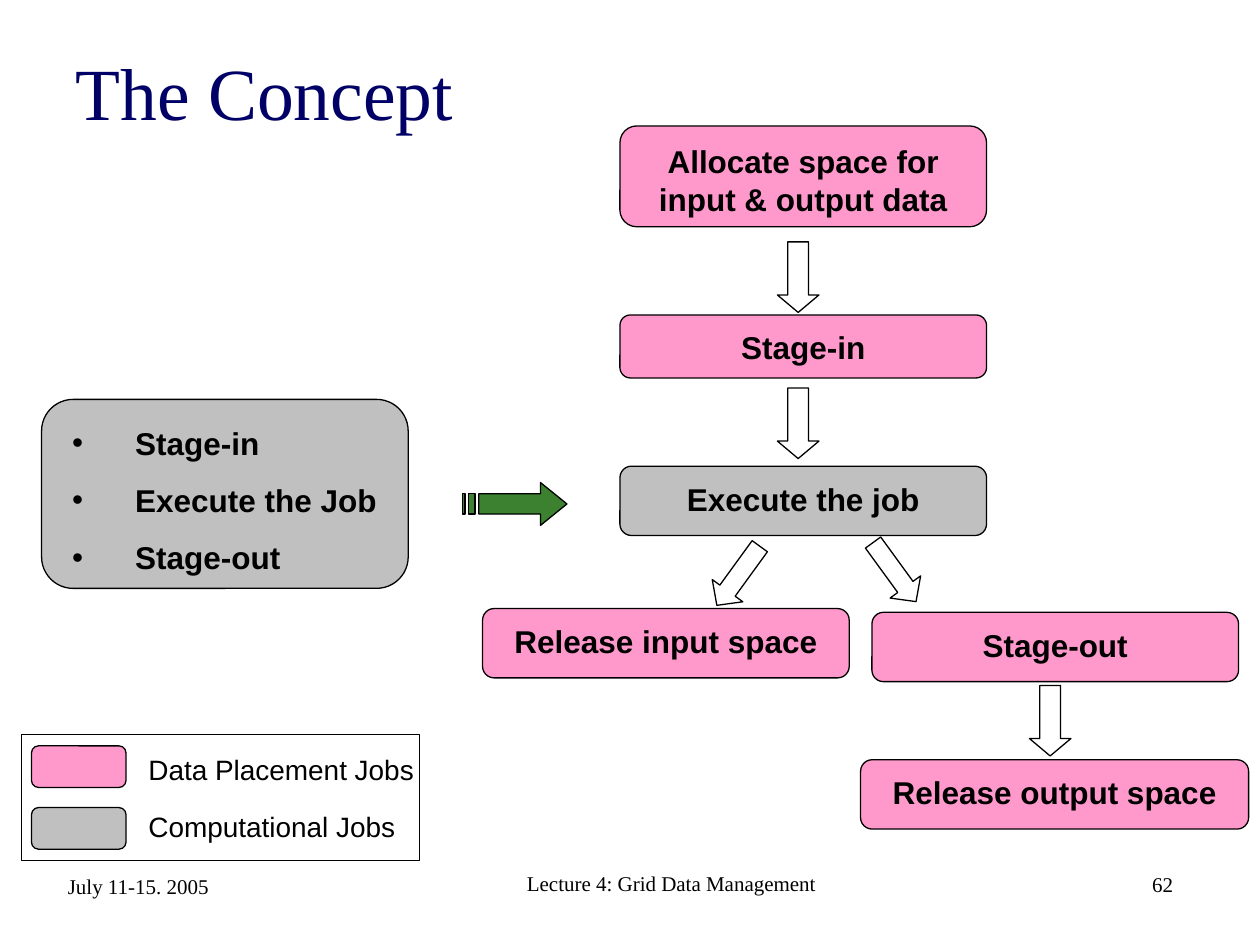
"""Build the slide that turns a three-step job into a data placement workflow."""
from dataclasses import dataclass

from lxml import etree
from pptx import Presentation, util as u
from pptx.dml.color import RGBColor
from pptx.enum import shapes, text
from pptx.oxml.ns import qn


@dataclass(frozen=True)
class Theme:
    """Colours, fonts and type sizes of the slide."""
    navy: str = "000066"
    black: str = "000000"
    white: str = "FFFFFF"
    placement: str = "FF99CC"
    compute: str = "C0C0C0"
    green: str = "3B812F"
    serif: str = "Times New Roman"
    sans: str = "Arial"
    title_size: float = 42
    job_size: float = 18
    legend_size: float = 16
    footer_size: float = 12
    outline: float = 0.75


def set_bullet(paragraph, indent, font):
    """Give a paragraph a round bullet with a hanging indent."""
    properties = paragraph._p.get_or_add_pPr()
    properties.set("marL", str(u.Inches(indent)))
    properties.set("indent", str(-u.Inches(indent)))
    etree.SubElement(properties, qn("a:buFont")).set("typeface", font)
    etree.SubElement(properties, qn("a:buChar")).set("char", "•")


def write(frame, content, *, size, font, color, bold=False, align="LEFT", anchor="TOP",
          margins=(0.1, 0.05, 0.1, 0.05), space=0, bullet_indent=None):
    """Fill a text frame, one paragraph to each line of content."""
    frame.word_wrap = True
    frame.auto_size = text.MSO_AUTO_SIZE.NONE
    frame.vertical_anchor = text.MSO_ANCHOR[anchor]
    (frame.margin_left, frame.margin_top,
     frame.margin_right, frame.margin_bottom) = map(u.Inches, margins)
    for index, line in enumerate(content.split("\n")):
        paragraph = frame.paragraphs[0] if index == 0 else frame.add_paragraph()
        if bullet_indent:
            set_bullet(paragraph, bullet_indent, font)
        if index:
            paragraph.space_before = u.Pt(space)
        paragraph.alignment = text.PP_ALIGN[align]
        paragraph.font.size = u.Pt(size)
        run = paragraph.add_run()
        run.text = line
        run.font.size = u.Pt(size)
        run.font.name = font
        run.font.bold = bold
        run.font.color.rgb = RGBColor.from_string(color)


class Deck:
    """Hold the theme and the current slide, and draw its elements."""

    def __init__(self, theme):
        self.theme = theme
        self.presentation = Presentation()
        self.presentation.slide_width = u.Inches(10)
        self.presentation.slide_height = u.Inches(7.5)
        self.slide = self.presentation.slides.add_slide(self.presentation.slide_layouts[5])

    def paint(self, shape, fill):
        """Apply a fill and the common outline."""
        shape.shadow.inherit = False
        if fill:
            shape.fill.solid()
            shape.fill.fore_color.rgb = RGBColor.from_string(fill)
        else:
            shape.fill.background()
        shape.line.color.rgb = RGBColor.from_string(self.theme.black)
        shape.line.width = u.Pt(self.theme.outline)
        return shape

    def preset(self, kind, area, fill=None):
        """Add a painted preset shape."""
        shape = self.slide.shapes.add_shape(shapes.MSO_SHAPE[kind], *map(u.Inches, area))
        return self.paint(shape, fill)

    def title(self, content, area):
        """Place and format the title placeholder."""
        heading = self.slide.shapes.title
        heading.left, heading.top, heading.width, heading.height = map(u.Inches, area)
        write(heading.text_frame, content, size=self.theme.title_size,
              font=self.theme.serif, color=self.theme.navy, margins=(0.1, 0.07, 0.1, 0.05))

    def job(self, content, area, fill, margins=(0.15, 0.08, 0.15, 0), **options):
        """Add a rounded job box with bold text."""
        box = self.preset("ROUNDED_RECTANGLE", area, fill)
        options = {"align": "CENTER", **options}
        write(box.text_frame, content, size=self.theme.job_size, font=self.theme.sans,
              color=self.theme.black, bold=True, margins=margins, **options)

    def flow(self, area, head=0.42, rotation=0):
        """Add a block arrow that points to the next job."""
        arrow = self.preset("DOWN_ARROW", area, self.theme.white)
        arrow.adjustments[1] = head
        arrow.rotation = rotation

    def striped_arrow(self, outlines):
        """Add one freeform made of several closed outlines."""
        first, *others = [[(u.Inches(x), u.Inches(y)) for x, y in outline]
                          for outline in outlines]
        builder = self.slide.shapes.build_freeform(*first[0], scale=1.0)
        builder.add_line_segments(first[1:], close=True)
        for outline in others:
            builder.move_to(*outline[0])
            builder.add_line_segments(outline[1:], close=True)
        self.paint(builder.convert_to_shape(), self.theme.green)

    def label(self, content, area, **options):
        """Add a plain text box."""
        box = self.slide.shapes.add_textbox(*map(u.Inches, area))
        write(box.text_frame, content, color=self.theme.black, **options)

    def save(self):
        """Write the presentation."""
        self.presentation.save("out.pptx")


def draw_workflow(deck):
    """Draw the expanded workflow and its arrows."""
    placement, compute = deck.theme.placement, deck.theme.compute
    deck.job("Allocate space for input & output data", (4.92, 1, 2.91, 0.8), placement,
             margins=(0.2, 0.09, 0.2, 0))
    deck.job("Stage-in", (4.92, 2.5, 2.91, 0.5), placement)
    deck.job("Execute the job", (4.92, 3.7, 2.91, 0.55), compute)
    deck.job("Release input space", (3.83, 4.83, 2.91, 0.55), placement)
    deck.job("Stage-out", (6.92, 4.86, 2.91, 0.55), placement)
    deck.job("Release output space", (6.83, 6.03, 3.08, 0.55), placement)
    for left, top in ((6.17, 1.92), (6.17, 3.08), (8.17, 5.44)):
        deck.flow((left, top, 0.33, 0.56))
    for left, top, rotation in ((5.71, 4.28, 36), (6.95, 4.25, 324)):
        deck.flow((left, top, 0.3, 0.58), head=0.48, rotation=rotation)


def draw_simple_job(deck):
    """Draw the three-step job and the arrow towards the workflow."""
    deck.job("Stage-in\nExecute the Job\nStage-out", (0.33, 3.17, 2.91, 1.5),
             deck.theme.compute, margins=(0.17, 0.12, 0.05, 0), align="LEFT",
             space=11.2, bullet_indent=0.5)
    high, low = 3.92, 4.08
    pointer = [(3.8, high), (4.29, high), (4.29, 3.83), (4.5, 4),
               (4.29, 4.17), (4.29, low), (3.8, low)]
    stripes = [[(left, high), (right, high), (right, low), (left, low)]
               for left, right in ((3.67, 3.69), (3.72, 3.77))]
    deck.striped_arrow([pointer, *stripes])


def draw_legend(deck):
    """Draw the key to the job colours."""
    theme = deck.theme
    entries = (("Data Placement Jobs", theme.placement, 5.92, 5.92),
               ("Computational Jobs", theme.compute, 6.41, 6.38))
    for name, color, swatch_top, name_top in entries:
        deck.preset("ROUNDED_RECTANGLE", (0.25, swatch_top, 0.75, 0.33), color)
        deck.label(name, (1.08, name_top, 2.41, 0.37), size=theme.legend_size, font=theme.sans)
    deck.preset("RECTANGLE", (0.17, 5.83, 3.16, 1))


def draw_footer(deck):
    """Draw the lecture name, page number and date."""
    entries = (("Lecture 4: Grid Data Management", (3.75, 6.83, 3.16, 0.33), "CENTER"),
               ("62", (7.08, 6.83, 2.33, 0.34), "RIGHT"),
               ("July 11-15. 2005", (0.44, 6.84, 2.27, 0.34), "LEFT"))
    for content, area, align in entries:
        deck.label(content, area, size=deck.theme.footer_size, font=deck.theme.serif,
                   align=align, anchor="BOTTOM")


def main():
    """Build and save the slide."""
    deck = Deck(Theme())
    deck.title("The Concept", (0.5, 0.3, 8.58, 0.95))
    draw_simple_job(deck)
    draw_workflow(deck)
    draw_legend(deck)
    draw_footer(deck)
    deck.save()


if __name__ == "__main__":
    main()
